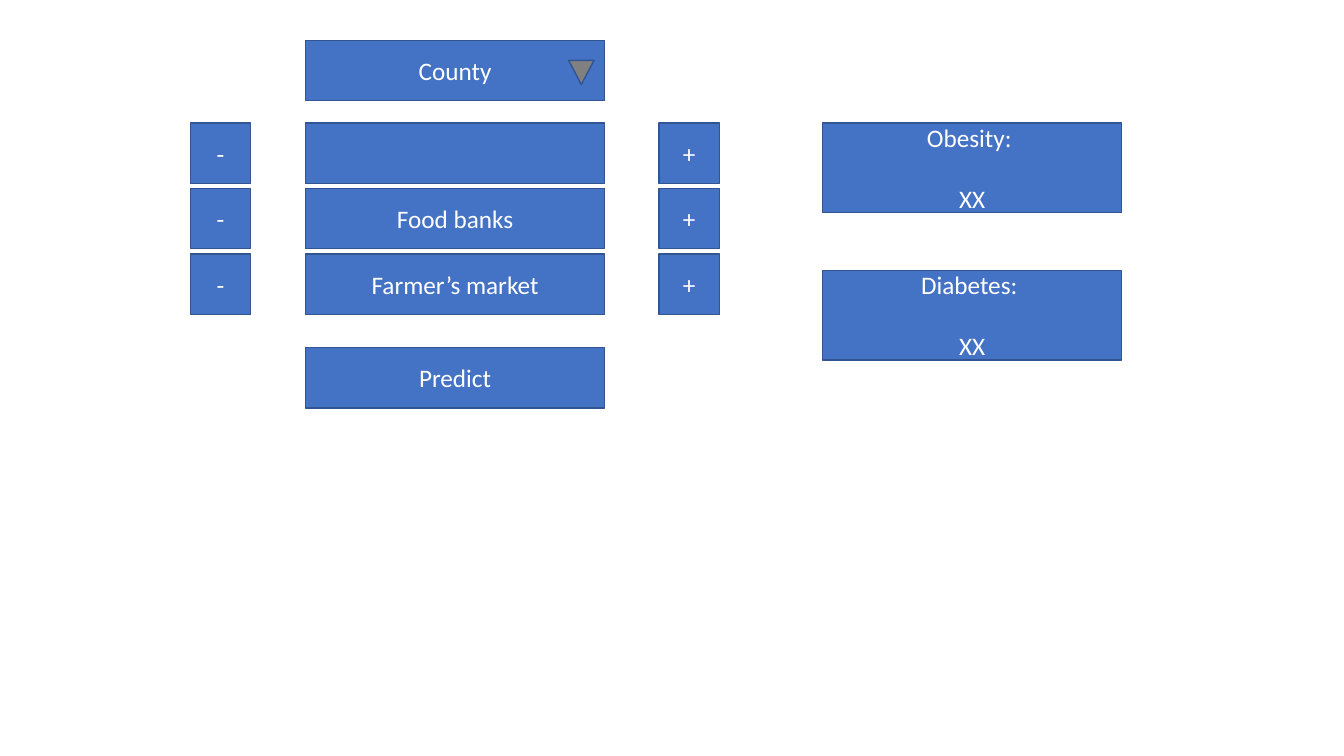
from dataclasses import dataclass

from pptx import Presentation
from pptx.dml.color import RGBColor
from pptx.enum.shapes import MSO_SHAPE
from pptx.enum.text import MSO_ANCHOR, PP_ALIGN
from pptx.slide import Slide
from pptx.util import Cm, Pt

BLUE, NAVY, GREY, WHITE = "4472C4", "325491", "808080", "FFFFFF"
FIELD_WIDTH, FIELD_HEIGHT, RESULT_HEIGHT = 7.54, 1.52, 2.26
MINUS_LEFT, FIELD_LEFT, PLUS_LEFT, RESULT_LEFT = 4.8, 7.7, 16.61, 20.73
COUNTY_TOP, FACTORS_TOP, PREDICT_TOP, DIABETES_TOP = 1.02, 3.1, 8.76, 6.81
ROW_PITCH = 1.65
LINE_GAP = Pt(22)


@dataclass(frozen=True)
class Control:
    """One box of the form, measured in centimetres."""
    left: float
    top: float
    lines: tuple[str, ...] = ()
    width: float = FIELD_WIDTH
    height: float = FIELD_HEIGHT
    fill: str = BLUE
    outline: MSO_SHAPE = MSO_SHAPE.RECTANGLE
    rotation: float = 0


def color(value: str) -> RGBColor:
    """Turn a hex string into a colour."""
    return RGBColor.from_string(value)


def draw_control(slide: Slide, control: Control) -> None:
    """Draw a box with its centred lines of text."""
    box = slide.shapes.add_shape(
        control.outline, Cm(control.left), Cm(control.top),
        Cm(control.width), Cm(control.height))
    box.rotation = control.rotation
    box.shadow.inherit = False
    box.fill.solid()
    box.fill.fore_color.rgb = color(control.fill)
    box.line.color.rgb = color(NAVY)
    box.line.width = Pt(1)
    frame = box.text_frame
    frame.word_wrap = True
    frame.vertical_anchor = MSO_ANCHOR.MIDDLE
    for index, line in enumerate(control.lines):
        paragraph = frame.add_paragraph() if index else frame.paragraphs[0]
        paragraph.text = line
        paragraph.alignment = PP_ALIGN.CENTER
        paragraph.space_before = LINE_GAP if index else Pt(0)
        paragraph.font.name = "Calibri"
        paragraph.font.size = Pt(18)
        paragraph.font.color.rgb = color(WHITE)


def factor_row(row: int, factor: str) -> list[Control]:
    """Lay out a factor with its plus and minus buttons."""
    top = FACTORS_TOP + row * ROW_PITCH
    return [
        Control(FIELD_LEFT, top, (factor,) if factor else ()),
        Control(PLUS_LEFT, top, ("+",), width=FIELD_HEIGHT),
        Control(MINUS_LEFT, top, ("-",), width=FIELD_HEIGHT),
    ]


def result(top: float, condition: str) -> Control:
    """Lay out the predicted value of a condition."""
    return Control(RESULT_LEFT, top, (f"{condition}: ", "XX"),
                   height=RESULT_HEIGHT)


presentation = Presentation()
presentation.slide_width = Cm(33.87)
presentation.slide_height = Cm(19.05)
form = presentation.slides.add_slide(presentation.slide_layouts[6])

factors = ("", "Food banks", "Farmer’s market")
controls = [control for row, factor in enumerate(factors)
            for control in factor_row(row, factor)]
controls += [
    result(FACTORS_TOP, "Obesity"),
    Control(FIELD_LEFT, PREDICT_TOP, ("Predict",)),
    Control(FIELD_LEFT, COUNTY_TOP, ("County",)),
    Control(14.33, 1.52, width=0.64, height=0.61, fill=GREY,
            outline=MSO_SHAPE.ISOSCELES_TRIANGLE, rotation=180),
    result(DIABETES_TOP, "Diabetes"),
]
for control in controls:
    draw_control(form, control)

presentation.save("out.pptx")
